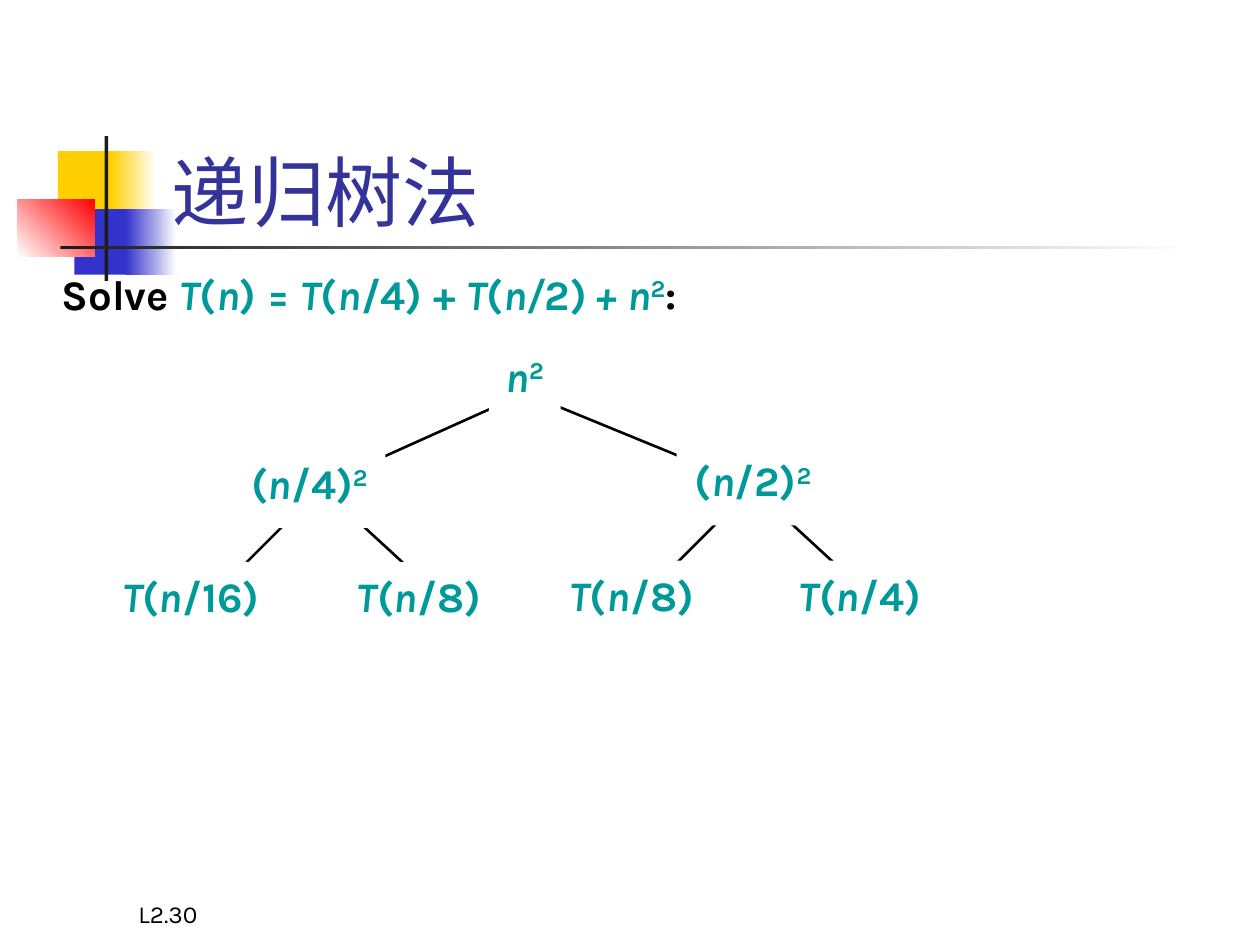
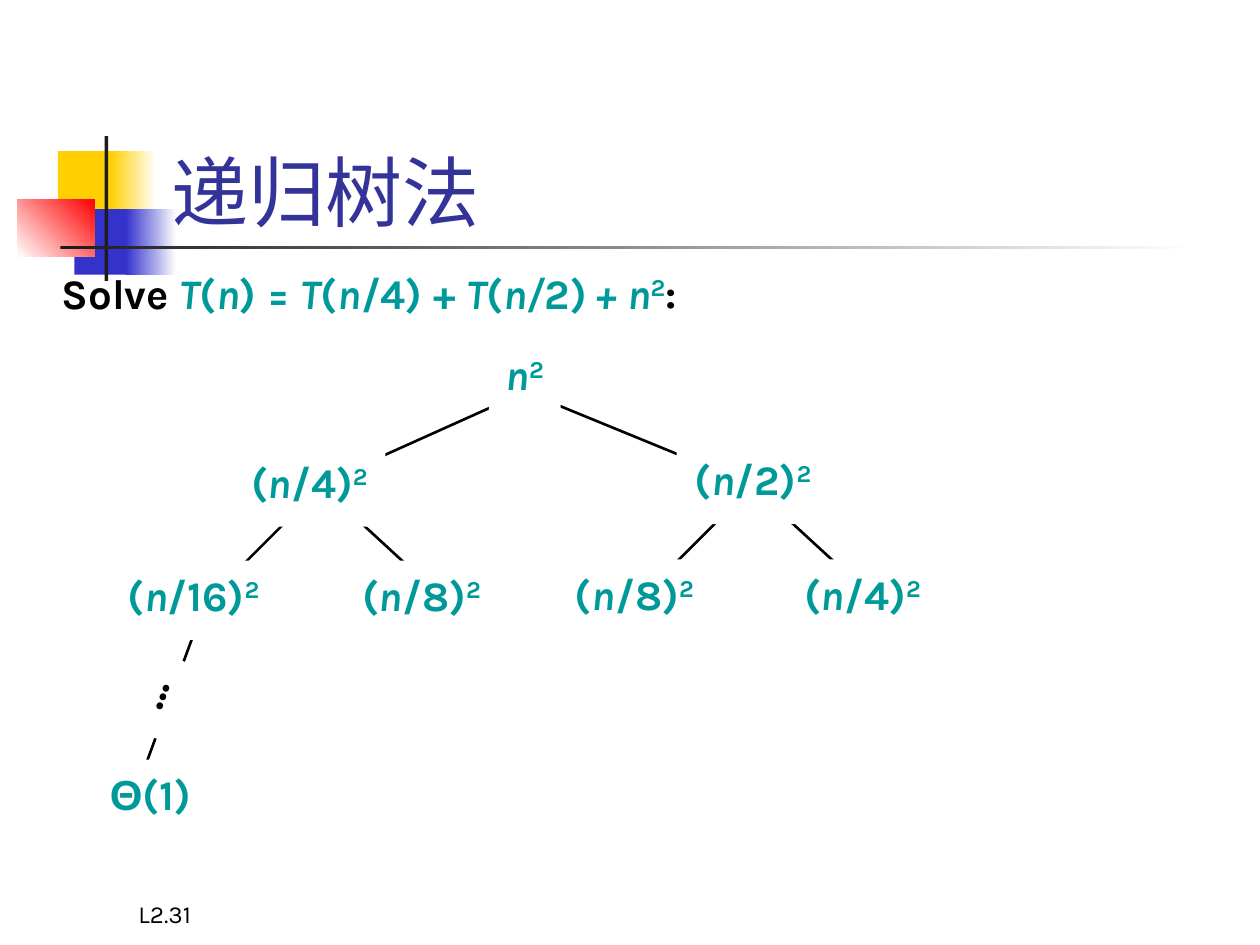
"""Build two slides that grow a recursion tree step by step."""
from itertools import groupby

from lxml.etree import SubElement
from pptx import Presentation
from pptx.dml.color import RGBColor
from pptx.enum.shapes import MSO_CONNECTOR, MSO_SHAPE
from pptx.enum.text import MSO_ANCHOR, PP_ALIGN
from pptx.oxml.ns import qn
from pptx.util import Inches, Pt


class Theme:
    """Colours, fonts and type sizes."""
    white, black, ink = "FFFFFF", "000000", "1C1C1C"
    gold, blue, red = "FFCF01", "3333CC", "FF0000"
    title, math = "333399", "009999"
    font, greek = "Karla", "Arial"
    big, body, small, line = 44, 24, 14, 1.5


# Marks in text: _ italic, ^ superscript, | maths colour, @ Greek font.
TITLE = "递归树法"
TASK = "Solve |_T_(_n_) = _T_(_n_/4) + _T_(_n/_2)_ + n_^2^|:"

BANDS = [
    ((0.46, 1.2, 0.48, 0.52), [Theme.gold], 0),
    ((0.88, 1.2, 0.36, 0.52), [Theme.gold, Theme.white], 0),
    ((0.59, 1.66, 0.46, 0.52), [Theme.blue], 0),
    ((1, 1.66, 0.4, 0.52), [Theme.blue, Theme.white], 0),
    ((0.14, 1.58, 0.61, 0.46), [Theme.white, Theme.red], 45),
    ((0.83, 1.08, 0.03, 1.15), [Theme.ink], 0),
    ((0.48, 1.95, 9, 0.03), [Theme.ink, Theme.white], 0),
]
TALL = 0.63
ROWS = [3.12, 3.87, 4.79, 6.37]
EDGES = [
    (0, 4.17, 2.5), (0, 4.17, 6),
    (1, 2.55, 1.63), (1, 2.55, 3.55),
    (1, 5.97, 5.05), (1, 5.97, 6.97),
]
TAIL = (2, 1.63, 1.05)
TOP = [
    ("|_n_^2^", 4.165, 2.71, 0.57, {}),
    ("|(_n_/4)^2^", 2.455, 3.56, 1.21, {}),
    ("|(_n_/2)^2^", 5.975, 3.54, 1.21, {}),
]
LEAVES = [("16", 1.515, 4.46, 0.22), ("8", 3.325, 4.46, 0),
          ("8", 5.015, 4.45, 0), ("4", 6.825, 4.45, 0)]
END = [
    ("|@Θ@(1)", 1.195, 6.04, 1.05, {}),
    ("…", 1.235, 5.21, 0.65, {"turn": 289.4}),
]
SLIDES = [
    {"foot": "L2.30", "lift": 0, "leaf": "|_T_(_n_/{})", "wide": 1.31,
     "shift": 0, "edges": EDGES, "end": []},
    {"foot": "L2.31", "lift": 0.01, "leaf": "|(_n_/{})^2^", "wide": 1.21,
     "shift": 0.02, "edges": EDGES + [TAIL], "end": END},
]


def rgb(code):
    return RGBColor.from_string(code)


def block(slide, area, tints, angle=0):
    shape = slide.shapes.add_shape(MSO_SHAPE.RECTANGLE, *map(Inches, area))
    shape.shadow.inherit = False
    shape.line.fill.background()
    if len(tints) == 1:
        shape.fill.solid()
        shape.fill.fore_color.rgb = rgb(tints[0])
    else:
        shape.fill.gradient()
        shape.fill.gradient_angle = angle
        for stop, tint in zip(shape.fill.gradient_stops, tints):
            stop.color.rgb = rgb(tint)
    return shape


def text(slide, area, words, size=Theme.body, color=Theme.black, bold=True,
         align=PP_ALIGN.LEFT, anchor=MSO_ANCHOR.TOP, wrap=False, fill=None, turn=0):
    """Write marked text in a box, on a filled block if fill is given."""
    box = block(slide, area, [fill]) if fill else slide.shapes.add_textbox(*map(Inches, area))
    box.rotation = turn
    frame = box.text_frame
    frame.word_wrap = wrap
    frame.vertical_anchor = anchor
    frame.margin_top = Inches(0.07)
    para = frame.paragraphs[0]
    para.alignment = align
    on = set()
    for mark, part in groupby(words, lambda c: c if c in "_^|@" else ""):
        if mark:
            on ^= {mark}
            continue
        run = para.add_run()
        run.text = "".join(part)
        font = run.font
        font.name = Theme.greek if "@" in on else Theme.font
        font.size, font.bold, font.italic = Pt(size), bold, "_" in on
        font.color.rgb = rgb(Theme.math if "|" in on else color)
        if "^" in on:
            font._element.set("baseline", "30000")


def edge(slide, row, start, stop, lift):
    ends = (start, ROWS[row] - lift, stop, ROWS[row + 1] - lift)
    line = slide.shapes.add_connector(MSO_CONNECTOR.STRAIGHT, *map(Inches, ends))
    line.line.color.rgb = rgb(Theme.black)
    line.line.width = Pt(Theme.line)
    SubElement(line._element.spPr, qn("a:effectLst"))


def base(slide, foot, lift):
    for band in BANDS:
        block(slide, *band)
    low = {"bold": False, "anchor": MSO_ANCHOR.BOTTOM, "wrap": True}
    text(slide, (1, 6.92, 2.08, 0.5), foot, size=Theme.small, **low)
    text(slide, (1.26, 0.68, 8.52, 1.25), TITLE, size=Theme.big, color=Theme.title, **low)
    text(slide, (0.39, 2.06 - lift, 6.27, TALL), TASK)


def tree(slide, plan):
    lift = plan["lift"]
    for link in plan["edges"]:
        edge(slide, *link, lift)
    leaves = [(plan["leaf"].format(part), mid + plan["shift"], top, plan["wide"] + more, {})
              for part, mid, top, more in LEAVES]
    for words, mid, top, wide, style in TOP + leaves + plan["end"]:
        text(slide, (mid - wide / 2, top - lift, wide, TALL), words,
             align=PP_ALIGN.CENTER, fill=Theme.white, **style)


def main():
    deck = Presentation()
    deck.slide_width, deck.slide_height = Inches(10), Inches(7.5)
    for plan in SLIDES:
        slide = deck.slides.add_slide(deck.slide_layouts[6])
        base(slide, plan["foot"], plan["lift"])
        tree(slide, plan)
    deck.save("out.pptx")


if __name__ == "__main__":
    main()
